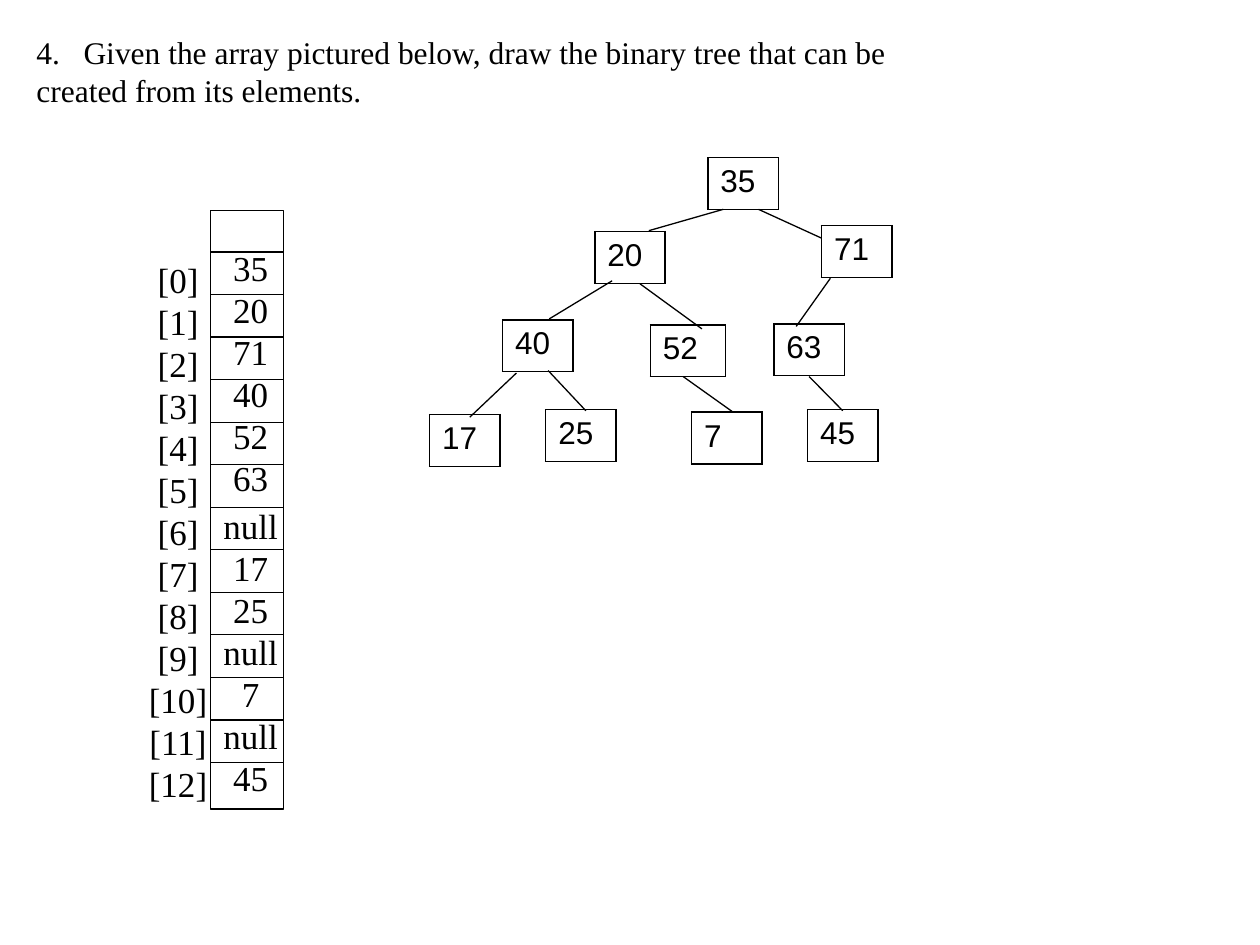
import pptx
import pptx.dml.color
import pptx.enum.shapes
import pptx.enum.text
import pptx.oxml
import pptx.oxml.ns
import pptx.util
from lxml import etree

Cm = pptx.util.Cm
Pt = pptx.util.Pt
BLACK = pptx.dml.color.RGBColor(0x00, 0x00, 0x00)
qn = pptx.oxml.ns.qn


def draw_line(shapes, x1, y1, x2, y2):
    line = shapes.add_connector(
        pptx.enum.shapes.MSO_CONNECTOR.STRAIGHT, Cm(x1), Cm(y1), Cm(x2), Cm(y2))
    line.line.color.rgb = BLACK
    line.line.width = Pt(0.75)
    etree.SubElement(line._element.spPr, qn("a:effectLst"))


def write_lines(frame, lines, size, spacing, alignment):
    frame.word_wrap = True
    frame.auto_size = pptx.enum.text.MSO_AUTO_SIZE.NONE
    frame.vertical_anchor = pptx.enum.text.MSO_ANCHOR.TOP
    frame.text = "\n".join(lines)
    for para in frame.paragraphs:
        para.alignment = alignment
        para.line_spacing = Pt(spacing)
        para.font.size = Pt(size)
        para.font.name = "Times New Roman"
        para.font.color.rgb = BLACK


deck = pptx.Presentation()
deck.slide_width = Cm(25.4)
deck.slide_height = Cm(19.05)
page = deck.slides.add_slide(deck.slide_layouts[5])

question = page.shapes.title
question.left, question.top = Cm(0.48), Cm(0.53)
question.width, question.height = Cm(17.83), Cm(1.8)
write_lines(
    question.text_frame,
    ["Given the array pictured below, draw the binary tree that can be",
     "created from its elements."],
    18, 21.7, pptx.enum.text.PP_ALIGN.LEFT)
numbering = question.text_frame.paragraphs[0]._p.get_or_add_pPr()
numbering.set("marL", str(Cm(0.95)))
numbering.set("indent", str(-Cm(0.95)))
etree.SubElement(numbering, qn("a:buFont"), typeface="Times New Roman")
etree.SubElement(numbering, qn("a:buAutoNum"), type="arabicPeriod", startAt="4")
numbering.append(numbering.find(qn("a:defRPr")))

array_left, array_width = 4.24, 1.47
values = ["35", "20", "71", "40", "52", "63", "null",
          "17", "25", "null", "7", "null", "45"]
array = page.shapes.add_group_shape()
column = array.shapes.add_shape(
    pptx.enum.shapes.MSO_SHAPE.RECTANGLE,
    Cm(array_left), Cm(4.24), Cm(array_width), Cm(12.07))
column.shadow.inherit = False
column.fill.background()
column.line.color.rgb = BLACK
column.line.width = Pt(0.75)
for index in range(len(values)):
    y = 5.08 + index * 10.29 / 12
    draw_line(array.shapes, array_left, y, array_left + array_width, y)

index_box = array.shapes.add_textbox(Cm(2.74), Cm(5.08), Cm(1.7), Cm(11.38))
write_lines(index_box.text_frame, [f"[{index}]" for index in range(len(values))],
            20, 24, pptx.enum.text.PP_ALIGN.CENTER)

value_box = page.shapes.add_textbox(Cm(array_left), Cm(4.85), Cm(1.63), Cm(11.38))
write_lines(value_box.text_frame, values, 20, 24, pptx.enum.text.PP_ALIGN.CENTER)
value_box.text_frame.paragraphs[values.index("null")].space_before = Pt(3)

nodes = [
    ("35", 14.27, 3.18, 1.42), ("20", 11.99, 4.67, 1.42),
    ("71", 16.56, 4.55, 1.42), ("40", 10.13, 6.45, 1.42),
    ("52", 13.11, 6.55, 1.52), ("63", 15.6, 6.53, 1.42),
    ("17", 8.66, 8.36, 1.42), ("25", 11, 8.26, 1.42),
    ("7", 13.94, 8.31, 1.42), ("45", 16.28, 8.26, 1.42),
]
for label, left, top, width in nodes:
    table = page.shapes.add_table(
        1, 1, Cm(left), Cm(top), Cm(width), Cm(1.04)).table
    table.first_row = False
    table.horz_banding = False
    cell = table.cell(0, 0)
    cell.text = label
    font = cell.text_frame.paragraphs[0].font
    font.size = Pt(18)
    font.name = "Arial"
    font.color.rgb = BLACK
    properties = cell._tc.get_or_add_tcPr()
    for side in ("a:lnL", "a:lnR", "a:lnT", "a:lnB"):
        border = etree.SubElement(properties, qn(side), w=str(Pt(1)))
        fill = etree.SubElement(border, qn("a:solidFill"))
        etree.SubElement(fill, qn("a:srgbClr"), val=str(BLACK))
    cell.fill.background()
    properties.append(properties.find(qn("a:noFill")))

edges = [
    (14.58, 4.22, 13.08, 4.65), (15.29, 4.22, 16.56, 4.8),
    (16.74, 5.61, 16.05, 6.58), (12.34, 5.66, 11.07, 6.43),
    (14.15, 6.63, 12.9, 5.72), (9.47, 8.41, 10.41, 7.52),
    (11.81, 8.28, 11.05, 7.47), (14.78, 8.31, 13.77, 7.59),
    (16.99, 8.28, 16.31, 7.59),
]
for edge in edges:
    draw_line(page.shapes, *edge)

deck.save("out.pptx")
